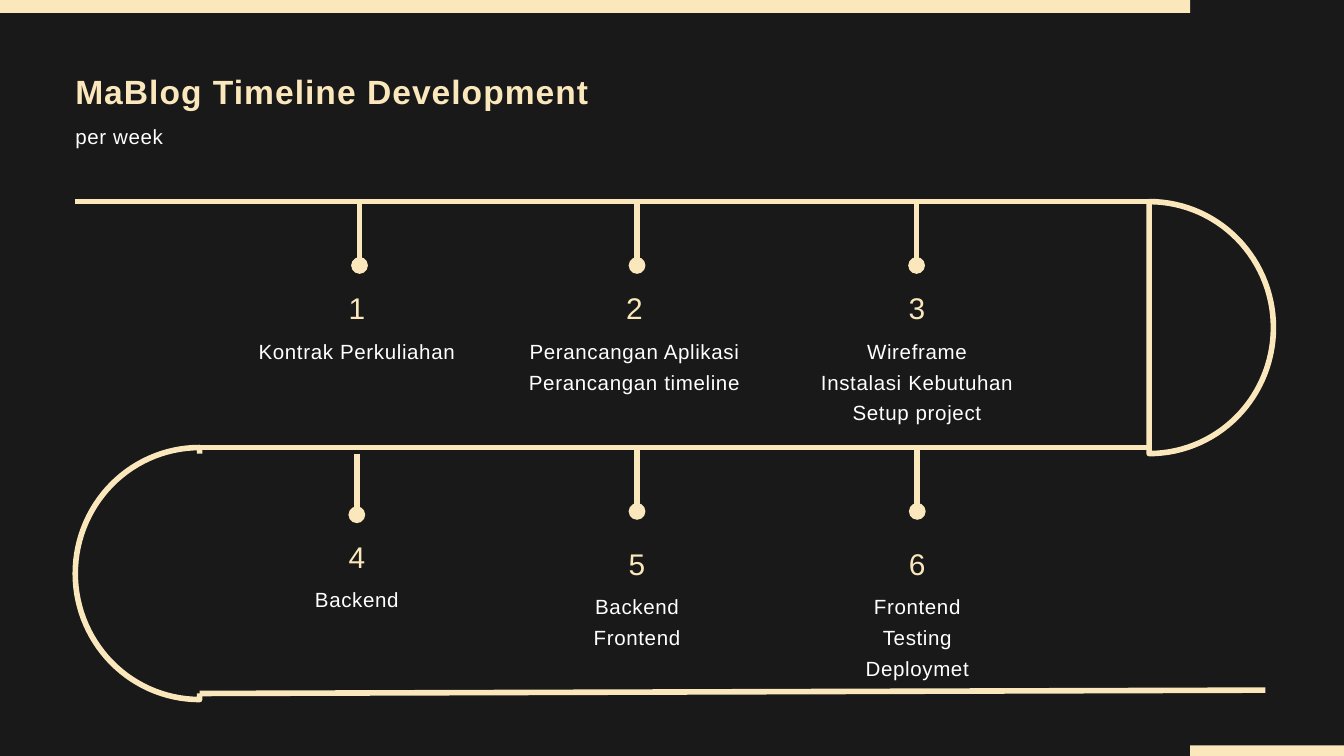
from dataclasses import dataclass
from math import cos, pi, sin

from lxml import etree
from pptx import Presentation
from pptx.dml.color import RGBColor
from pptx.enum.shapes import MSO_CONNECTOR, MSO_SHAPE
from pptx.enum.text import MSO_AUTO_SIZE, PP_ALIGN
from pptx.oxml.ns import qn
from pptx.util import Inches, Pt

STRAIGHT = MSO_CONNECTOR.STRAIGHT
RECTANGLE = MSO_SHAPE.RECTANGLE
GROW = MSO_AUTO_SIZE.SHAPE_TO_FIT_TEXT
LEFT, CENTER = PP_ALIGN.LEFT, PP_ALIGN.CENTER
COLUMNS, ROWS = 20, 11.25
SLIDE_WIDTH, SLIDE_HEIGHT = Inches(20), Inches(11.25)


@dataclass(frozen=True)
class TextStyle:
    """Type settings for one level of text."""
    size: float
    leading: float
    tracking: float
    color: RGBColor
    bold: bool = False


class Theme:
    """Colours, type styles and line weight of the slide."""
    DARK = RGBColor.from_string("191919")
    CREAM = RGBColor.from_string("FAE7BC")
    WHITE = RGBColor.from_string("FFFFFF")
    FONT = "Arial"
    STROKE = Pt(6)
    TITLE = TextStyle(36, 46.8, 1.1, CREAM, True)
    NUMBER = TextStyle(32, 41.6, 1.6, CREAM)
    BODY = TextStyle(22, 33, 0.7, WHITE)


@dataclass(frozen=True)
class Box:
    """Area measured in grid columns and rows."""
    left: float
    top: float
    width: float
    height: float

    def emu(self):
        """Return left, top, width and height in slide units."""
        return (across(self.left), down(self.top),
                across(self.width), down(self.height))


@dataclass(frozen=True)
class Milestone:
    """One week on the track: its stem, label box and tasks."""
    stem: float
    top: float
    label: Box
    number: str
    tasks: tuple


MILESTONES = (
    Milestone(5.35, 3.04, Box(3.59, 4.27, 3.44, 1.08), "1",
              ("Kontrak Perkuliahan",)),
    Milestone(9.48, 3.04, Box(7.72, 4.27, 3.44, 1.53), "2",
              ("Perancangan Aplikasi", "Perancangan timeline")),
    Milestone(13.64, 3.04, Box(11.85, 4.27, 3.59, 1.98), "3",
              ("Wireframe", "Instalasi Kebutuhan", "Setup project")),
    Milestone(5.31, 6.75, Box(3.59, 7.97, 3.44, 1.08), "4", ("Backend",)),
    Milestone(9.48, 6.7, Box(7.76, 8.07, 3.44, 1.53), "5",
              ("Backend", "Frontend")),
    Milestone(13.65, 6.7, Box(11.93, 8.07, 3.44, 1.98), "6",
              ("Frontend", "Testing", "Deploymet")),
)


def across(columns):
    """Convert grid columns to slide units."""
    return round(SLIDE_WIDTH * columns / COLUMNS)


def down(rows):
    """Convert grid rows to slide units."""
    return round(SLIDE_HEIGHT * rows / ROWS)


def add_block(slide, box, color):
    """Add a plain filled rectangle."""
    shape = slide.shapes.add_shape(RECTANGLE, *box.emu())
    shape.shadow.inherit = False
    shape.fill.solid()
    shape.fill.fore_color.rgb = color
    shape.line.fill.background()


def add_line(slide, start, end, dot=False):
    """Add a track line, optionally ending in a dot."""
    connector = slide.shapes.add_connector(
        STRAIGHT, across(start[0]), down(start[1]), across(end[0]), down(end[1]))
    connector.line.color.rgb = Theme.CREAM
    connector.line.width = Theme.STROKE
    properties = connector._element.spPr
    if dot:
        etree.SubElement(properties.find(qn("a:ln")), qn("a:tailEnd"), type="oval")
    etree.SubElement(properties, qn("a:effectLst"))


def add_bend(slide, box, facing, steps=60):
    """Add a closed half round that bulges right (1) or left (-1)."""
    flat = box.left if facing > 0 else box.left + box.width
    radius = box.height / 2
    angles = [pi * (step / steps - 0.5) for step in range(steps + 1)]
    points = [(across(flat + facing * box.width * cos(angle)),
               down(box.top + radius + radius * sin(angle))) for angle in angles]
    builder = slide.shapes.build_freeform(*points[0])
    builder.add_line_segments(points[1:], close=True)
    shape = builder.convert_to_shape()
    shape.shadow.inherit = False
    shape.fill.background()
    shape.line.color.rgb = Theme.CREAM
    shape.line.width = Theme.STROKE


def add_text(slide, box, lines, style, alignment):
    """Add a text box with one paragraph for each line."""
    frame = slide.shapes.add_textbox(*box.emu()).text_frame
    frame_format = dict(margin_left=0, margin_top=0, margin_right=0,
                        margin_bottom=0, word_wrap=True, auto_size=GROW)
    for name, value in frame_format.items():
        setattr(frame, name, value)
    font_format = dict(name=Theme.FONT, size=Pt(style.size), bold=style.bold)
    for index, line in enumerate(lines):
        paragraph = frame.add_paragraph() if index else frame.paragraphs[0]
        paragraph.alignment = alignment
        paragraph.line_spacing = Pt(style.leading)
        run = paragraph.add_run()
        run.text = line
        for name, value in font_format.items():
            setattr(run.font, name, value)
        run.font.color.rgb = style.color
        run._r.get_or_add_rPr().set("spc", str(round(style.tracking * 100)))


def add_track(slide, box):
    """Draw the winding track through the given box."""
    bend_width, bend_height, inset = 1.85, 3.75, 0.09
    right = box.left + box.width - bend_width
    left = box.left + bend_width
    middle = box.top + 3.66
    bottom = box.top + box.height
    add_bend(slide, Box(right, box.top, bend_width, bend_height), 1)
    add_line(slide, (box.left, box.top), (right, box.top))
    add_bend(slide, Box(box.left, middle, bend_width, bend_height), -1)
    add_block(slide, Box(left - inset, middle + inset, 1.25,
                         bend_height - 2 * inset), Theme.DARK)
    add_line(slide, (left, bottom - inset), (right + 1.73, bottom - 0.14))
    add_line(slide, (left, middle), (right, middle))


def add_header(slide, box):
    """Place the title and subtitle in the given box."""
    add_text(slide, Box(box.left, box.top, box.width, 0.63),
             ["MaBlog Timeline Development"], Theme.TITLE, LEFT)
    add_text(slide, Box(box.left, box.top + 0.76, box.width, 0.4),
             ["per week"], Theme.BODY, LEFT)


def add_milestone(slide, milestone):
    """Place a dotted stem with its number and tasks."""
    box, gap = milestone.label, 0.68
    add_line(slide, (milestone.stem, milestone.top),
             (milestone.stem, milestone.top + 0.91), dot=True)
    add_text(slide, Box(box.left, box.top, box.width, 0.55),
             [milestone.number], Theme.NUMBER, CENTER)
    add_text(slide, Box(box.left, box.top + gap, box.width, box.height - gap),
             milestone.tasks, Theme.BODY, CENTER)


def main():
    """Build and save the timeline slide."""
    presentation = Presentation()
    presentation.slide_width, presentation.slide_height = SLIDE_WIDTH, SLIDE_HEIGHT
    slide = presentation.slides.add_slide(presentation.slide_layouts[6])
    slide.background.fill.solid()
    slide.background.fill.fore_color.rgb = Theme.DARK
    add_track(slide, Box(1.12, 3, 17.83, 7.41))
    for bar in (Box(17.71, 11.09, 2.5, 0.18), Box(0, 0, 17.71, 0.19)):
        add_block(slide, bar, Theme.CREAM)
    for milestone in MILESTONES:
        add_milestone(slide, milestone)
    add_header(slide, Box(1.12, 1, 13.39, 1.16))
    presentation.save("out.pptx")


if __name__ == "__main__":
    main()
